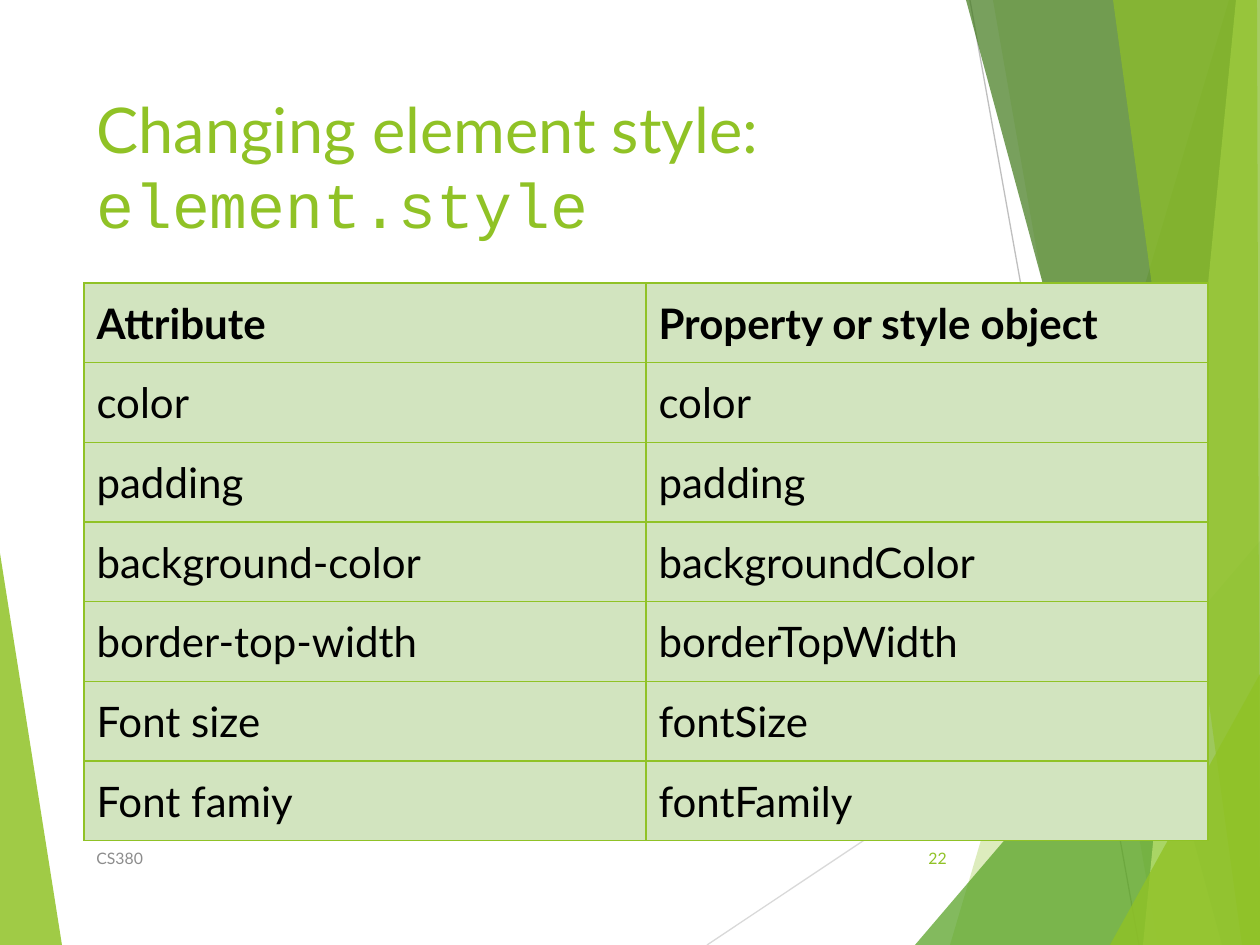
import pptx
import pptx.dml.color
import pptx.enum.shapes
import pptx.enum.text
import pptx.oxml
import pptx.oxml.ns
import pptx.util
from lxml import etree

RGBColor = pptx.dml.color.RGBColor
Anchor = pptx.enum.text.MSO_ANCHOR
Align = pptx.enum.text.PP_ALIGN
qn = pptx.oxml.ns.qn

GREEN = RGBColor(0x90, 0xC2, 0x26)
LEAF = RGBColor(0x54, 0xA0, 0x21)
FOREST = RGBColor(0x3F, 0x78, 0x19)
LIME = RGBColor(0xC0, 0xE4, 0x74)
PALE = RGBColor(0xD2, 0xE4, 0xBF)
GREY = RGBColor(0x8C, 0x8C, 0x8C)
LIGHT_GREY = RGBColor(0xD9, 0xD9, 0xD9)
MID_GREY = RGBColor(0xBF, 0xBF, 0xBF)
BLACK = RGBColor(0, 0, 0)

# Content
TITLE = [("Changing element style: ", "Lato"), ("element.style", "Courier New")]
ROWS = [
    ("Attribute", "Property or style object"),
    ("color", "color"),
    ("padding", "padding"),
    ("background-color", "backgroundColor"),
    ("border-top-width", "borderTopWidth"),
    ("Font size", "fontSize"),
    ("Font famiy", "fontFamily"),
]
FOOTERS = [  # text, left, width, colour, alignment
    ("CS380", 84, 638, GREY, Align.LEFT),
    ("22", 888, 71, GREEN, Align.RIGHT),
]

# Layout in px
WIDTH, HEIGHT = 1260, 945
LEFT = 84
TITLE_BOX = (LEFT, 84, 875, 182)
TABLE_BOX = (LEFT, 283, 1124, 558)
FOOTER_TOP, FOOTER_HEIGHT = 833, 50
CORNERS = [(WIDTH, HEIGHT), (WIDTH, 0)]
LEFT_FACET = ([(0, 553), (62, HEIGHT), (0, HEIGHT)], GREEN, 85)
RIGHT_FACETS = [  # outline, colour, opacity in percent
    ([(1229, 0), (950, HEIGHT)] + CORNERS, GREEN, 30),
    ([(993, 0), (1158, HEIGHT)] + CORNERS, GREEN, 20),
    ([(915, HEIGHT), (WIDTH, 541), (WIDTH, HEIGHT)], LEAF, 72),
    ([(966, 0), (1222, HEIGHT)] + CORNERS, FOREST, 70),
    ([(1236, 0), (1143, HEIGHT)] + CORNERS, LIME, 70),
    ([(1113, 0), (1242, HEIGHT), (WIDTH, HEIGHT), (1257, 0)], GREEN, 65),
    ([(1110, HEIGHT), (WIDTH, 674), (WIDTH, HEIGHT)], GREEN, 80),
]
LINES = [
    ((707, HEIGHT), (WIDTH, 576), LIGHT_GREY),
    ((970, 0), (1139, HEIGHT), MID_GREY),
]


def px(*values):
    return [pptx.util.Emu(round(value * 914400 / 126)) for value in values]


def add_text(paragraph, text, size, color, font="Lato", bold=False, align=Align.LEFT):
    paragraph.alignment = align
    run = paragraph.add_run()
    run.text = text
    run.font.name = font
    run.font.size = pptx.util.Pt(size)
    run.font.bold = bold
    run.font.color.rgb = color


def add_facet(slide, points, color, opacity):
    start, *others = [px(*point) for point in points]
    builder = slide.shapes.build_freeform(*start)
    builder.add_line_segments(others, close=True)
    shape = builder.convert_to_shape()
    shape.shadow.inherit = False
    shape.line.fill.background()
    shape.fill.solid()
    shape.fill.fore_color.rgb = color
    color_element = shape.element.spPr.find(qn("a:solidFill"))[0]
    etree.SubElement(color_element, qn("a:alpha"), val=str(opacity * 1000))


def add_line(slide, start, end, color):
    line = slide.shapes.add_connector(
        pptx.enum.shapes.MSO_CONNECTOR.STRAIGHT, *px(*start, *end))
    line.line.color.rgb = color
    line.line.width = pptx.util.Pt(0.75)
    etree.SubElement(line.element.spPr, qn("a:effectLst"))


def set_borders(cell, color):
    properties = cell._tc.get_or_add_tcPr()
    for index, side in enumerate(("lnL", "lnR", "lnT", "lnB")):
        border = etree.Element(qn("a:" + side), w=str(pptx.util.Pt(1)))
        fill = etree.SubElement(border, qn("a:solidFill"))
        etree.SubElement(fill, qn("a:srgbClr"), val=str(color))
        properties.insert(index, border)


def main():
    presentation = pptx.Presentation()
    presentation.slide_width, presentation.slide_height = px(WIDTH, HEIGHT)
    slide = presentation.slides.add_slide(presentation.slide_layouts[5])

    # Faceted background
    add_facet(slide, *LEFT_FACET)
    for line in LINES:
        add_line(slide, *line)
    for facet in RIGHT_FACETS:
        add_facet(slide, *facet)

    # Title, in front of the facets
    title = slide.shapes.title
    title.element.getparent().append(title.element)
    title.left, title.top, title.width, title.height = px(*TITLE_BOX)
    frame = title.text_frame
    frame.word_wrap = True
    frame.auto_size = pptx.enum.text.MSO_AUTO_SIZE.NONE
    frame.vertical_anchor = Anchor.TOP
    for text, font in TITLE:
        add_text(frame.paragraphs[0], text, 36, GREEN, font=font)

    # Footer and page number
    for text, left, width, color, align in FOOTERS:
        box = slide.shapes.add_textbox(*px(left, FOOTER_TOP, width, FOOTER_HEIGHT))
        box.text_frame.word_wrap = True
        box.text_frame.vertical_anchor = Anchor.MIDDLE
        add_text(box.text_frame.paragraphs[0], text, 9, color, align=align)

    # Table of attributes and properties
    table = slide.shapes.add_table(len(ROWS), len(ROWS[0]), *px(*TABLE_BOX)).table
    for row, texts in enumerate(ROWS):
        for column, text in enumerate(texts):
            cell = table.cell(row, column)
            cell.vertical_anchor = Anchor.MIDDLE
            cell.fill.solid()
            cell.fill.fore_color.rgb = PALE
            set_borders(cell, GREEN)
            add_text(cell.text_frame.paragraphs[0], text, 24, BLACK, bold=row == 0)

    presentation.save("out.pptx")


if __name__ == "__main__":
    main()
